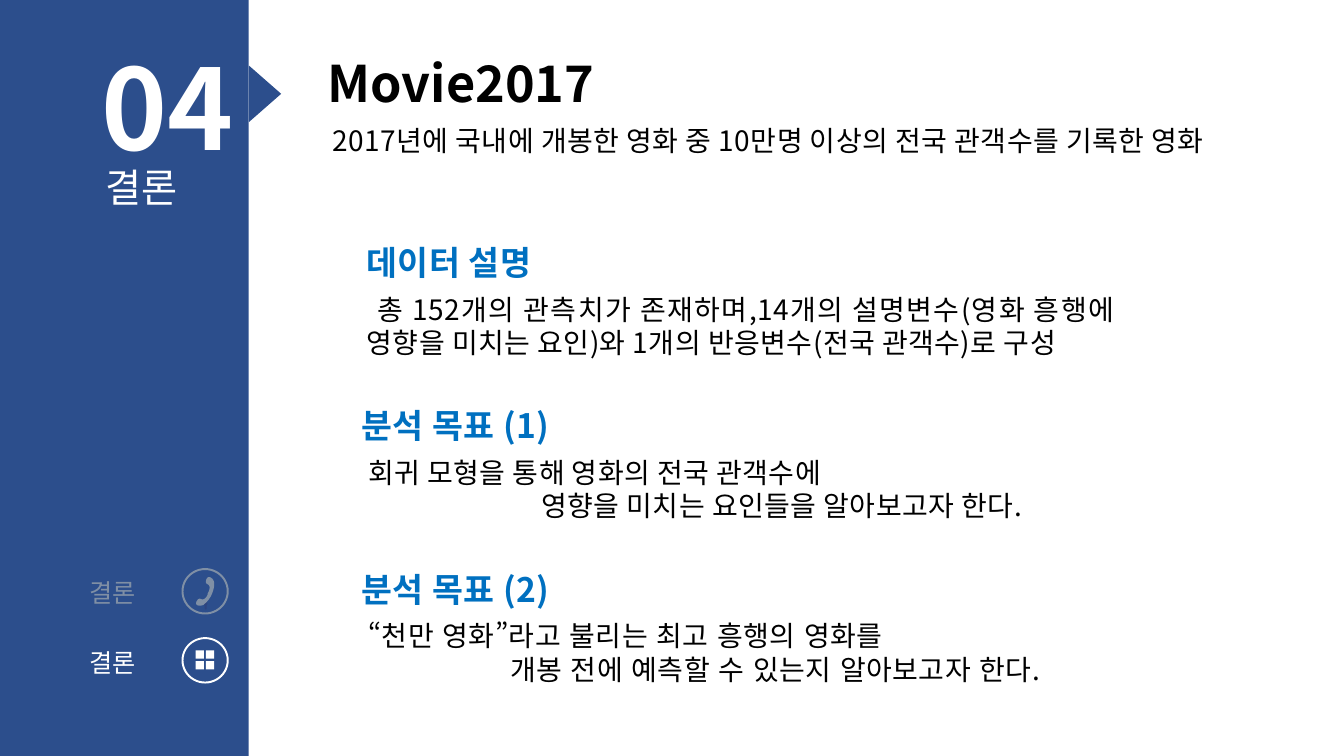
from pptx import Presentation
from pptx.dml.color import RGBColor
from pptx.enum.lang import MSO_LANGUAGE_ID
from pptx.enum.shapes import MSO_SHAPE
from pptx.enum.text import MSO_ANCHOR, MSO_AUTO_SIZE, PP_ALIGN
from pptx.oxml.ns import qn
from pptx.util import Cm, Pt

RECTANGLE, ELLIPSE = MSO_SHAPE.RECTANGLE, MSO_SHAPE.OVAL
TRIANGLE, ROUNDED = MSO_SHAPE.ISOSCELES_TRIANGLE, MSO_SHAPE.ROUNDED_RECTANGLE
LEFT, CENTER, JUSTIFY = PP_ALIGN.LEFT, PP_ALIGN.CENTER, PP_ALIGN.JUSTIFY
TOP, NO_AUTOFIT = MSO_ANCHOR.TOP, MSO_AUTO_SIZE.NONE
KOREAN = MSO_LANGUAGE_ID.KOREAN

FONT = "Noto Sans CJK KR"
NAVY, DARK_NAVY, BLUE = "2C4E8C", "2D447F", "0070C0"
GREY, WHITE, BLACK = "7F8FA5", "FFFFFF", "000000"
TITLE_ONLY = 5
LINE_HEIGHT = 1.2
TRACKING = {20: 30, 24: 36}  # hundredths of a point, by text size
CURVE_STEPS = 10

HANDSET_START = (5.23, 14.96)
HANDSET_CURVES = [
    ((5.23, 14.96), (5.36, 14.76), (5.21, 14.71)),
    ((5.21, 14.71), (5.16, 14.68), (5.21, 14.58)),
    ((5.26, 14.48), (5.38, 14.6), (5.38, 14.63)),
    ((5.41, 14.68), (5.41, 14.81), (5.33, 14.99)),
    ((5.26, 15.14), (5.16, 15.21), (5.13, 15.24)),
    ((5.08, 15.27), (4.9, 15.29), (4.95, 15.16)),
    ((5, 15.06), (5.05, 15.09), (5.05, 15.09)),
    ((5.18, 15.16), (5.26, 14.94), (5.23, 14.96)),
]

# left, top, heading, body width, alignment, (indent, first line, text) per paragraph
SECTIONS = [
    (8.99, 5.97, "데이터 설명", 19.35, JUSTIFY,
     [(0, 0.28, "총 152개의 관측치가 존재하며,14개의 설명변수(영화 흥행에 영향을 "
                "미치는 요인)와 1개의 반응변수(전국 관객수)로 구성")]),
    (8.86, 10.08, "분석 목표 (1)", 18.36, LEFT,
     [(0.17, 0, "회귀 모형을 통해 영화의 전국 관객수에"),
      (4.53, 0, "영향을 미치는 요인들을 알아보고자 한다.")]),
    (8.86, 14.2, "분석 목표 (2)", 18.36, LEFT,
     [(0.17, 0, "“천만 영화”라고 불리는 최고 흥행의 영화를"),
      (3.75, 0, "개봉 전에 예측할 수 있는지 알아보고자 한다.")]),
]


def rgb(color):
    return RGBColor.from_string(color)


def place(shape, left, top, width, height):
    shape.left, shape.top = Cm(left), Cm(top)
    shape.width, shape.height = Cm(width), Cm(height)


def write(frame, paragraphs, size, color, bold=False, align=LEFT):
    """Fill a frame with (indent, first line, text) paragraphs."""
    frame.word_wrap = True
    frame.auto_size = NO_AUTOFIT
    frame.vertical_anchor = TOP
    for index, (indent, first_line, text) in enumerate(paragraphs):
        para = frame.add_paragraph() if index else frame.paragraphs[0]
        para.alignment = align
        para.line_spacing = Pt(size * LINE_HEIGHT)
        properties = para._p.get_or_add_pPr()
        properties.set("marL", str(Cm(indent)))
        properties.set("indent", str(Cm(first_line)))
        span = para.add_run()
        span.text = text
        span.font.name = FONT
        span.font.size = Pt(size)
        span.font.bold = bold
        span.font.color.rgb = rgb(color)
        if "“" in text:  # Korean quotation marks are narrow
            span.font.language_id = KOREAN
        run_properties = span._r.get_or_add_rPr()
        run_properties.set("spc", str(TRACKING.get(size, 0)))
        east_asian = run_properties.makeelement(qn("a:ea"), {"typeface": FONT})
        run_properties.find(qn("a:latin")).addnext(east_asian)


def add_text(page, at, paragraphs, size, color, bold=False, align=LEFT):
    box = page.shapes.add_textbox(*map(Cm, at))
    write(box.text_frame, paragraphs, size, color, bold, align)


def add_label(page, at, text, size, color, bold=False, align=LEFT):
    add_text(page, at, [(0, 0, text)], size, color, bold, align)


def paint(shape, color):
    shape.shadow.inherit = False
    shape.fill.solid()
    shape.fill.fore_color.rgb = rgb(color)
    shape.line.fill.background()


def add_solid(page, kind, at, color):
    shape = page.shapes.add_shape(kind, *map(Cm, at))
    paint(shape, color)
    return shape


def add_ring(page, top, color):
    ring = page.shapes.add_shape(ELLIPSE, Cm(4.6), Cm(top), Cm(1.14), Cm(1.12))
    ring.shadow.inherit = False
    ring.fill.background()
    ring.line.color.rgb = rgb(color)
    ring.line.width = Pt(1.38)


def curve_points(start, curves):
    """Sample a chain of cubic curves."""
    points = []
    for first, second, end in curves:
        for step in range(1, CURVE_STEPS + 1):
            t = step / CURVE_STEPS
            u = 1 - t
            points.append(tuple(
                Cm(u**3 * a + 3 * u * u * t * b + 3 * u * t * t * c + t**3 * d)
                for a, b, c, d in zip(start, first, second, end)))
        start = end
    return points


def add_phone_icon(page):
    add_solid(page, ELLIPSE, (5.13, 15.16, 0.1, 0.1), DARK_NAVY)
    stem = add_solid(page, ROUNDED, (5.16, 15.21, 0.05, 0.15), DARK_NAVY)
    stem.adjustments[0] = 0.5
    add_ring(page, 14.34, GREY)
    builder = page.shapes.build_freeform(*map(Cm, HANDSET_START))
    builder.add_line_segments(curve_points(HANDSET_START, HANDSET_CURVES), close=True)
    paint(builder.convert_to_shape(), GREY)


def add_tiles_icon(page):
    add_ring(page, 16.08, WHITE)
    for row in range(2):
        for column in range(2):
            at = (4.93 + 0.26 * column, 16.39 + 0.27 * row, 0.21, 0.21)
            add_solid(page, RECTANGLE, at, WHITE)


def add_sidebar(page):
    add_solid(page, RECTANGLE, (0, 0, 6.27, 19.05), NAVY)
    add_label(page, (2.15, 0.84, 4.14, 3.68), "04", 80, WHITE, True, CENTER)
    add_label(page, (0.91, 3.99, 5.33, 1.45), "결론", 28, WHITE, align=CENTER)
    pointer = add_solid(page, TRIANGLE, (5.97, 1.96, 1.42, 0.81), NAVY)
    pointer.rotation = 90
    for top, color in ((14.43, GREY), (16.18, WHITE)):
        add_label(page, (1.22, top, 3.23, 1.02), "결론", 18, color, align=CENTER)
    add_phone_icon(page)
    add_tiles_icon(page)


def add_section(page, left, top, heading, width, align, paragraphs):
    add_label(page, (left, top, 9.35, 1.27), heading, 24, BLUE, True)
    add_text(page, (left, top + 1.27, width, 1.96), paragraphs, 20, BLACK, align=align)


def main():
    deck = Presentation()
    deck.slide_width, deck.slide_height = Cm(33.87), Cm(19.05)
    page = deck.slides.add_slide(deck.slide_layouts[TITLE_ONLY])
    title = page.shapes.title
    place(title, 8, 1.19, 24.59, 1.8)
    write(title.text_frame, [(0, 0, "Movie2017")], 36, BLACK, True)
    add_sidebar(page)
    add_label(page, (8.13, 3, 22.99, 1.12),
              "2017년에 국내에 개봉한 영화 중 10만명 이상의 전국 관객수를 기록한 영화", 20, BLACK)
    for section in SECTIONS:
        add_section(page, *section)
    deck.save("out.pptx")


if __name__ == "__main__":
    main()
